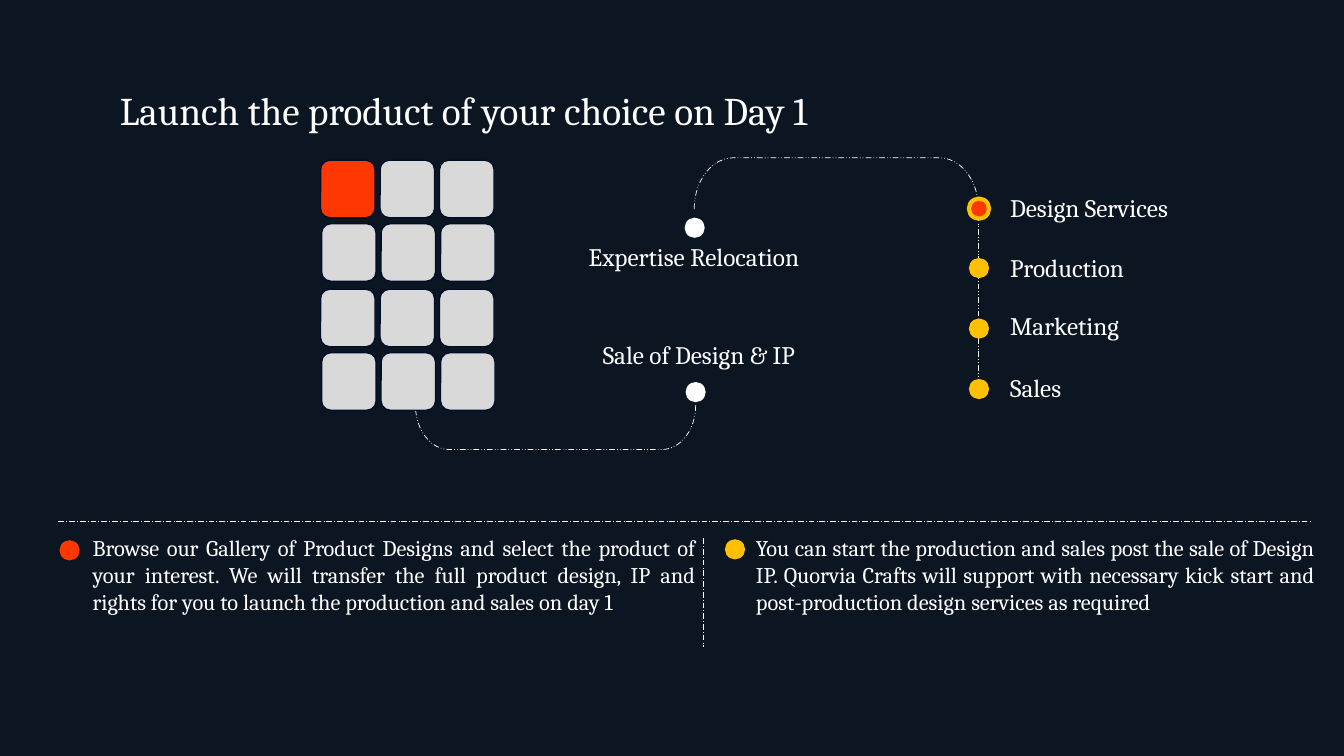
import pptx
import pptx.util
import pptx.dml.color
import pptx.enum.dml
import pptx.enum.shapes
import pptx.enum.text
import pptx.oxml.ns
from dataclasses import dataclass
from lxml import etree

Inches = pptx.util.Inches
Shape = pptx.enum.shapes.MSO_SHAPE
Dash = pptx.enum.dml.MSO_LINE


@dataclass(frozen=True)
class Theme:
    font: str = "Cambria"
    background: str = "0C1622"
    white: str = "FFFFFF"
    gold: str = "FFC000"
    red: str = "FF3701"
    tile: str = "D9D9D9"
    tile_edge: str = "000E2A"
    title_size: int = 28
    label_size: int = 18
    body_size: int = 16
    hairline: float = 0.5


def color(value):
    return pptx.dml.color.RGBColor.from_string(value)


class SlideBuilder:
    def __init__(self, page, theme):
        self.page = page
        self.theme = theme
        page.background.fill.solid()
        page.background.fill.fore_color.rgb = color(theme.background)

    def stroke(self, line, value, width, dash=None):
        line.color.rgb = color(value)
        line.width = pptx.util.Pt(width)
        if dash is not None:
            line.dash_style = dash

    def shape(self, kind, left, top, width, height, fill=None, edge=None,
              edge_width=1, dash=None):
        shape = self.page.shapes.add_shape(
            kind, Inches(left), Inches(top), Inches(width), Inches(height))
        shape.shadow.inherit = False
        if fill:
            shape.fill.solid()
            shape.fill.fore_color.rgb = color(fill)
        else:
            shape.fill.background()
        if edge:
            self.stroke(shape.line, edge, edge_width, dash)
        else:
            shape.line.fill.background()
        return shape

    def dot(self, left, top, fill, edge=None):
        self.shape(Shape.OVAL, left, top, 0.2, 0.2, fill, edge, 3)

    def bracket(self, left, top, width, height, rotation):
        shape = self.shape(Shape.LEFT_BRACKET, left, top, width, height,
                           edge=self.theme.white, edge_width=self.theme.hairline,
                           dash=Dash.DASH_DOT_DOT)
        shape.adjustments[0] = 0.763
        shape.rotation = rotation

    def line(self, start, end, dash):
        connector = self.page.shapes.add_connector(
            pptx.enum.shapes.MSO_CONNECTOR.STRAIGHT,
            *(Inches(length) for length in (*start, *end)))
        self.stroke(connector.line, self.theme.white, self.theme.hairline, dash)
        properties = connector.element.find(pptx.oxml.ns.qn("p:spPr"))
        etree.SubElement(properties, pptx.oxml.ns.qn("a:effectLst"))

    def text(self, words, left, top, width, height, size, justified=False):
        box = self.page.shapes.add_textbox(
            Inches(left), Inches(top), Inches(width), Inches(height))
        frame = box.text_frame
        frame.word_wrap = justified
        frame.auto_size = pptx.enum.text.MSO_AUTO_SIZE.SHAPE_TO_FIT_TEXT
        para = frame.paragraphs[0]
        if justified:
            para.alignment = pptx.enum.text.PP_ALIGN.JUSTIFY
        span = para.add_run()
        span.text = words
        span.font.name = self.theme.font
        span.font.size = pptx.util.Pt(size)
        span.font.color.rgb = color(self.theme.white)


def main():
    deck = pptx.Presentation()
    deck.slide_width, deck.slide_height = Inches(13.33), Inches(7.5)
    theme = Theme()
    builder = SlideBuilder(deck.slides.add_slide(deck.slide_layouts[6]), theme)

    builder.bracket(8.04, 0.41, 0.51, 2.82, 90)
    builder.line((9.7, 2.14), (9.7, 3.93), Dash.DASH_DOT_DOT)
    builder.text("Launch the product of your choice on Day 1",
                 1.09, 0.81, 7.45, 0.57, theme.title_size)

    services = [
        ("Design Services", 1.97, 1.86, 1.88, theme.red, theme.gold),
        ("Production", 2.56, 2.45, 1.4, theme.gold, None),
        ("Marketing", 3.16, 3.03, 1.31, theme.gold, None),
        ("Sales", 3.76, 3.64, 0.75, theme.gold, None),
    ]
    for name, dot_top, text_top, width, fill, edge in services:
        builder.dot(9.61, dot_top, fill, edge)
        builder.text(name, 9.92, text_top, width, 0.4, theme.label_size)

    transfers = [
        ("Expertise Relocation", 6.79, 2.16, 5.74, 2.34, 2.49),
        ("Sale of Design & IP", 6.8, 3.79, 5.88, 3.32, 2.21),
    ]
    for name, dot_left, dot_top, left, top, width in transfers:
        builder.dot(dot_left, dot_top, theme.white)
        builder.text(name, left, top, width, 0.4, theme.label_size)
    builder.bracket(5.29, 2.85, 0.44, 2.78, 270)

    builder.line((0.58, 5.17), (12.99, 5.17), Dash.LONG_DASH_DOT)
    builder.line((6.98, 5.34), (6.98, 6.42), Dash.LONG_DASH_DOT)
    offers = [
        ("Browse our Gallery of Product Designs and select the product of your "
         "interest. We will transfer the full product design, IP and rights for "
         "you to launch the production and sales on day 1",
         0.82, 6.18, 0.59, 5.36, theme.red),
        ("You can start the production and sales post the sale of Design IP. "
         "Quorvia Crafts will support with necessary kick start and "
         "post-production design services as required",
         7.4, 5.74, 7.19, 5.35, theme.gold),
    ]
    for words, left, width, dot_left, dot_top, fill in offers:
        builder.text(words, left, 5.25, width, 0.91, theme.body_size, justified=True)
        builder.dot(dot_left, dot_top, fill)

    for row, top in enumerate((1.59, 2.22, 2.87, 3.5)):
        for column in range(3):
            left = 3.18 + 0.59 * column + 0.01 * (row % 2)
            fill = theme.red if row == column == 0 else theme.tile
            builder.shape(Shape.ROUNDED_RECTANGLE, left, top, 0.54, 0.57,
                          fill, theme.tile_edge)

    deck.save("out.pptx")


if __name__ == "__main__":
    main()
